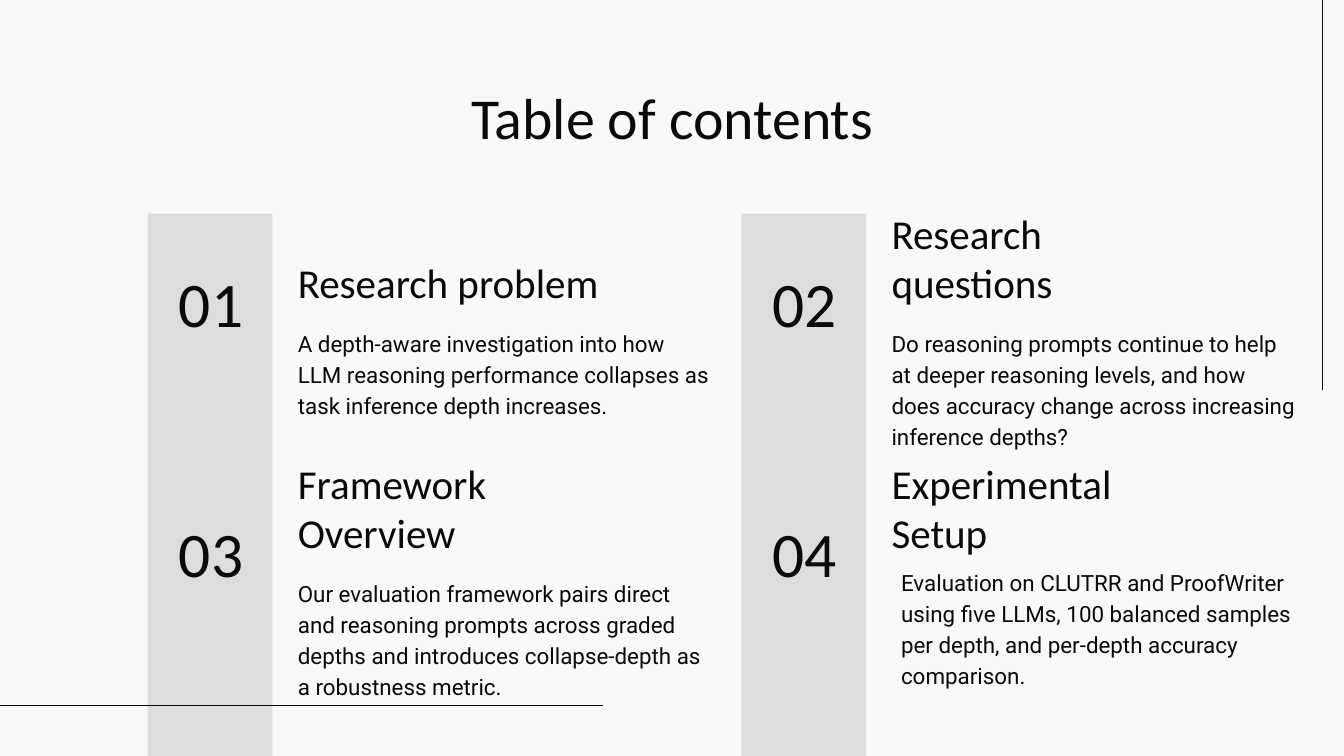
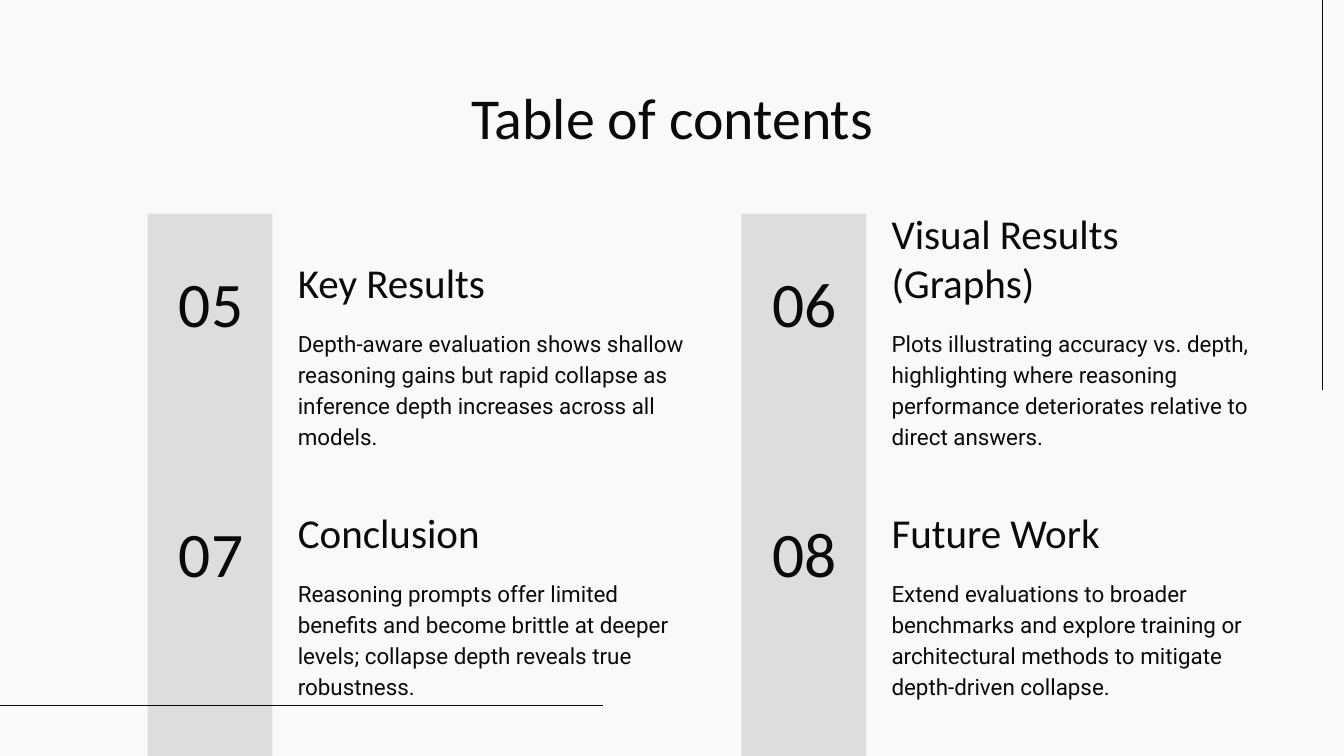
"""Build two table of contents slides."""
from lxml import etree
from pptx import Presentation
from pptx.dml.color import RGBColor
from pptx.enum.shapes import MSO_CONNECTOR, MSO_SHAPE
from pptx.enum.text import MSO_ANCHOR, PP_ALIGN
from pptx.oxml.ns import qn
from pptx.util import Cm, Pt

RECT = MSO_SHAPE.RECTANGLE
LINE = MSO_CONNECTOR.STRAIGHT
LEFT, MID = PP_ALIGN.LEFT, PP_ALIGN.CENTER
TOP, CORE, BASE = MSO_ANCHOR.TOP, MSO_ANCHOR.MIDDLE, MSO_ANCHOR.BOTTOM

COLORS = {"back": "F9F9F9", "bar": "DDDDDD", "ink": "0A0A0A"}
FORMATS = {
    "title": {"font": {"name": "Calibri", "size": Pt(31)},
              "para": {"alignment": MID}, "anchor": TOP},
    "num": {"font": {"name": "Calibri", "size": Pt(34)},
            "para": {"alignment": MID}, "anchor": CORE},
    "head": {"font": {"name": "Calibri", "size": Pt(22)},
             "para": {"alignment": LEFT}, "anchor": BASE},
    "body": {"font": {"name": "Roboto", "size": Pt(12)},
             "para": {"alignment": LEFT, "line_spacing": 1.15}, "anchor": TOP},
}
FRAME = {"word_wrap": True, "margin_left": Cm(0.25), "margin_right": Cm(0.25),
         "margin_top": Cm(0.25), "margin_bottom": Cm(0.25)}
COL_STEP, ROW_STEP = 11.22, 4.72

PAGES = [
    {"widths": (8.28, 8.2), "shifts": {3: (0.18, -0.2)}, "items": [
        ("Research problem",
         "A depth-aware investigation into how LLM reasoning performance "
         "collapses as task inference depth increases."),
        ("Research questions",
         "Do reasoning prompts continue to help at deeper reasoning levels, "
         "and how does accuracy change across increasing inference depths?"),
        ("Framework Overview",
         "Our evaluation framework pairs direct and reasoning prompts across "
         "graded depths and introduces collapse-depth as a robustness metric."),
        ("Experimental Setup",
         "Evaluation on CLUTRR and ProofWriter using five LLMs, 100 balanced "
         "samples per depth, and per-depth accuracy comparison."),
    ]},
    {"widths": (8.05, 7.8), "shifts": {}, "items": [
        ("Key Results",
         "Depth-aware evaluation shows shallow reasoning gains but rapid "
         "collapse as inference depth increases across all models."),
        ("Visual Results (Graphs)",
         "Plots illustrating accuracy vs. depth, highlighting where reasoning "
         "performance deteriorates relative to direct answers."),
        ("Conclusion",
         "Reasoning prompts offer limited benefits and become brittle at "
         "deeper levels; collapse depth reveals true robustness."),
        ("Future Work",
         "Extend evaluations to broader benchmarks and explore training or "
         "architectural methods to mitigate depth-driven collapse."),
    ]},
]


def assign(target, values):
    for name, value in values.items():
        setattr(target, name, value)


def color(name):
    return RGBColor.from_string(COLORS[name])


class Deck:
    def __init__(self):
        self.deck = Presentation()
        self.deck.slide_width, self.deck.slide_height = Cm(25.4), Cm(14.29)
        self.slide = None

    def page(self):
        self.slide = self.deck.slides.add_slide(self.deck.slide_layouts[6])
        fill = self.slide.background.fill
        fill.solid()
        fill.fore_color.rgb = color("back")

    def bar(self, *box):
        shape = self.slide.shapes.add_shape(RECT, *map(Cm, box))
        shape.shadow.inherit = False
        shape.fill.solid()
        shape.fill.fore_color.rgb = color("bar")
        shape.line.fill.background()

    def rule(self, *ends):
        line = self.slide.shapes.add_connector(LINE, *map(Cm, ends))
        line.line.color.rgb = color("ink")
        line.line.width = Pt(0.75)
        etree.SubElement(line._element.spPr, qn("a:effectLst"))

    def text(self, kind, words, *box):
        style = FORMATS[kind]
        frame = self.slide.shapes.add_textbox(*map(Cm, box)).text_frame
        assign(frame, FRAME)
        frame.vertical_anchor = style["anchor"]
        para = frame.paragraphs[0]
        assign(para, style["para"])
        run = para.add_run()
        run.text = words
        assign(run.font, style["font"])
        run.font.color.rgb = color("ink")

    def entry(self, number, head, body, dx, dy, width, shift):
        self.text("body", body, 5.38 + dx + shift[0], 5.92 + dy + shift[1],
                  width, 1.8)
        self.text("head", head, 5.38 + dx, 3.81 + dy, 6.35, 2.24)
        self.text("num", f"{number:02}", 2.77 + dx, 4.11 + dy, 2.44, 3.2)


def main():
    deck = Deck()
    number = 0
    for page in PAGES:
        deck.page()
        deck.rule(24.99, 7.37, 24.99, 0)
        for col in range(2):
            deck.bar(2.79 + col * COL_STEP, 4.04, 2.36, 10.25)
        deck.rule(0, 13.33, 11.4, 13.33)
        deck.text("title", "Table of contents", 1.98, 1.3, 21.44, 1.52)
        for index, (head, body) in enumerate(page["items"]):
            number += 1
            row, col = divmod(index, 2)
            deck.entry(number, head, body, col * COL_STEP, row * ROW_STEP,
                       page["widths"][col], page["shifts"].get(index, (0, 0)))
    deck.deck.save("out.pptx")


if __name__ == "__main__":
    main()
